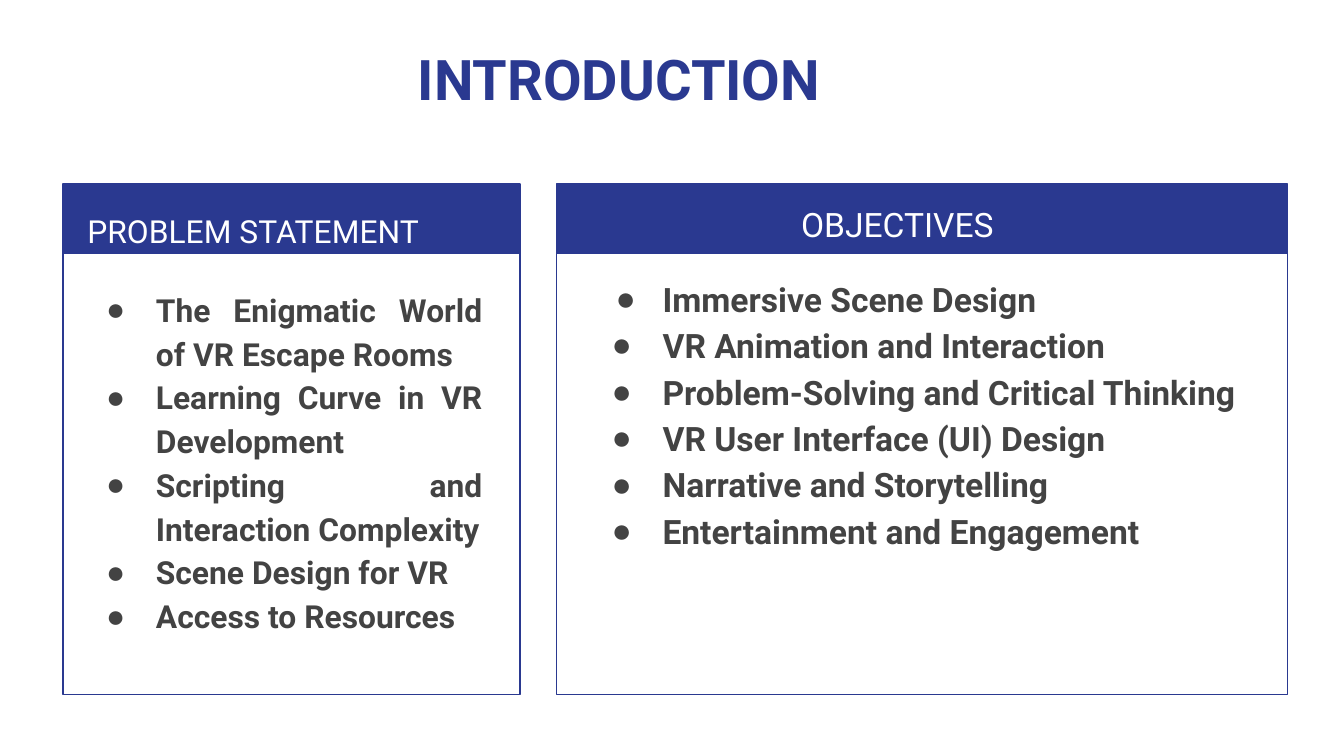
from dataclasses import dataclass

from lxml import etree
from pptx import Presentation, util as u
from pptx.dml.color import RGBColor
from pptx.enum import shapes, text
from pptx.oxml import ns


@dataclass(frozen=True)
class Theme:
    """Colours, font and type sizes of the slide."""
    font: str = "Roboto"
    blue: str = "2A3990"
    white: str = "FFFFFF"
    grey: str = "434343"
    title: int = 30
    line: float = 0.75


THEME = Theme()
PANELS = [
    dict(box=(0.47, 1.37, 3.4, 3.8), size=17, ids=(1, 2),
         head="PROBLEM STATEMENT", head_box=(0.08, 0.06, 2.73, 0.5),
         list_box=(0.09, 0.65, 3.13, 3.06), hangs=(0.37, 0.37),
         items=["The Enigmatic World of VR Escape Rooms",
                "Learning Curve in VR Development",
                "Scripting and Interaction Complexity",
                "Scene Design for VR",
                "Access to Resources"]),
    dict(box=(4.14, 1.37, 5.44, 3.8), size=18, ids=(3, 4),
         head="OBJECTIVES", head_box=(1.72, 0, 2.71, 0.52),
         list_box=(0.19, 0.56, 5.12, 3.18), hangs=(0.35, 0.38),
         items=["Immersive Scene Design",
                "VR Animation and Interaction",
                "Problem-Solving and Critical Thinking",
                "VR User Interface (UI) Design",
                "Narrative and Storytelling",
                "Entertainment and Engagement"]),
]


def set_attrs(obj, values):
    """Set each attribute of an object from a dict."""
    for name, value in values.items():
        setattr(obj, name, value)


def place(sp, box):
    """Put a shape at a box given in inches."""
    names = ("left", "top", "width", "height")
    set_attrs(sp, dict(zip(names, map(u.Inches, box))))


def add_bullet(p, hang, color):
    """Give a paragraph a round bullet with a hanging indent."""
    pPr = p._p.get_or_add_pPr()
    pPr.set("marL", str(u.Inches(0.5)))
    pPr.set("indent", str(-u.Inches(hang)))
    clr = etree.SubElement(pPr, ns.qn("a:buClr"))
    etree.SubElement(clr, ns.qn("a:srgbClr"), val=color)
    etree.SubElement(pPr, ns.qn("a:buChar"), char="●")


def fill_text(s, sp, box, lines, size, color, bold, spacing=1.15, hangs=None):
    """Move a placeholder to the front and write its formatted lines."""
    s.shapes.element.append(sp.element)
    place(sp, box)
    tf = sp.text_frame
    tf.text = "\n".join(lines)
    margins = ("margin_left", "margin_top", "margin_right", "margin_bottom")
    set_attrs(tf, dict.fromkeys(margins, u.Inches(0.1)))
    set_attrs(tf, dict(word_wrap=True, auto_size=text.MSO_AUTO_SIZE.NONE,
                       vertical_anchor=text.MSO_ANCHOR.TOP))
    align = text.PP_ALIGN.JUSTIFY if hangs else text.PP_ALIGN.LEFT
    for i, p in enumerate(tf.paragraphs):
        if hangs:
            add_bullet(p, hangs[min(i, 1)], color)
        set_attrs(p, dict(alignment=align, line_spacing=spacing,
                          space_before=u.Pt(0), space_after=u.Pt(0)))
        for r in p.runs:
            set_attrs(r.font, dict(name=THEME.font, size=u.Pt(size), bold=bold))
            r.font.color.rgb = RGBColor.from_string(color)


def add_frame(s, box):
    """Draw a panel's filled header and outlined border as a group."""
    x, y, w, h = box
    blue = RGBColor.from_string(THEME.blue)
    group = s.shapes.add_group_shape()
    header, border = (
        group.shapes.add_shape(shapes.MSO_SHAPE.RECTANGLE,
                               *map(u.Inches, (x, y, w, height)))
        for height in (0.52, h))
    header.fill.solid()
    header.fill.fore_color.rgb = blue
    header.line.fill.background()
    border.fill.background()
    border.line.color.rgb = blue
    border.line.width = u.Pt(THEME.line)
    for sp in (header, border):
        sp.shadow.inherit = False


def add_panel(s, box, size, ids, head, head_box, list_box, hangs, items):
    """Build a panel with a heading and a bulleted list inside its box."""
    x, y = box[:2]
    inner = [(x + dx, y + dy, w, h) for dx, dy, w, h in (head_box, list_box)]
    holders = {ph.placeholder_format.idx: ph for ph in s.placeholders}
    add_frame(s, box)
    fill_text(s, holders[ids[0]], inner[0], [head], size, THEME.white, False)
    fill_text(s, holders[ids[1]], inner[1], items, size, THEME.grey, True,
              hangs=hangs)


def main():
    """Build the introduction slide and save it."""
    prs = Presentation()
    width = u.Inches(10)
    set_attrs(prs, dict(slide_width=width, slide_height=width * 9 // 16))
    s = prs.slides.add_slide(prs.slide_layouts.get_by_name("Comparison"))
    fill_text(s, s.shapes.title, (3.01, 0.23, 3.4, 0.66), ["INTRODUCTION"],
              THEME.title, THEME.blue, True, spacing=1.0)
    for panel in PANELS:
        add_panel(s, **panel)
    prs.save("out.pptx")


if __name__ == "__main__":
    main()
